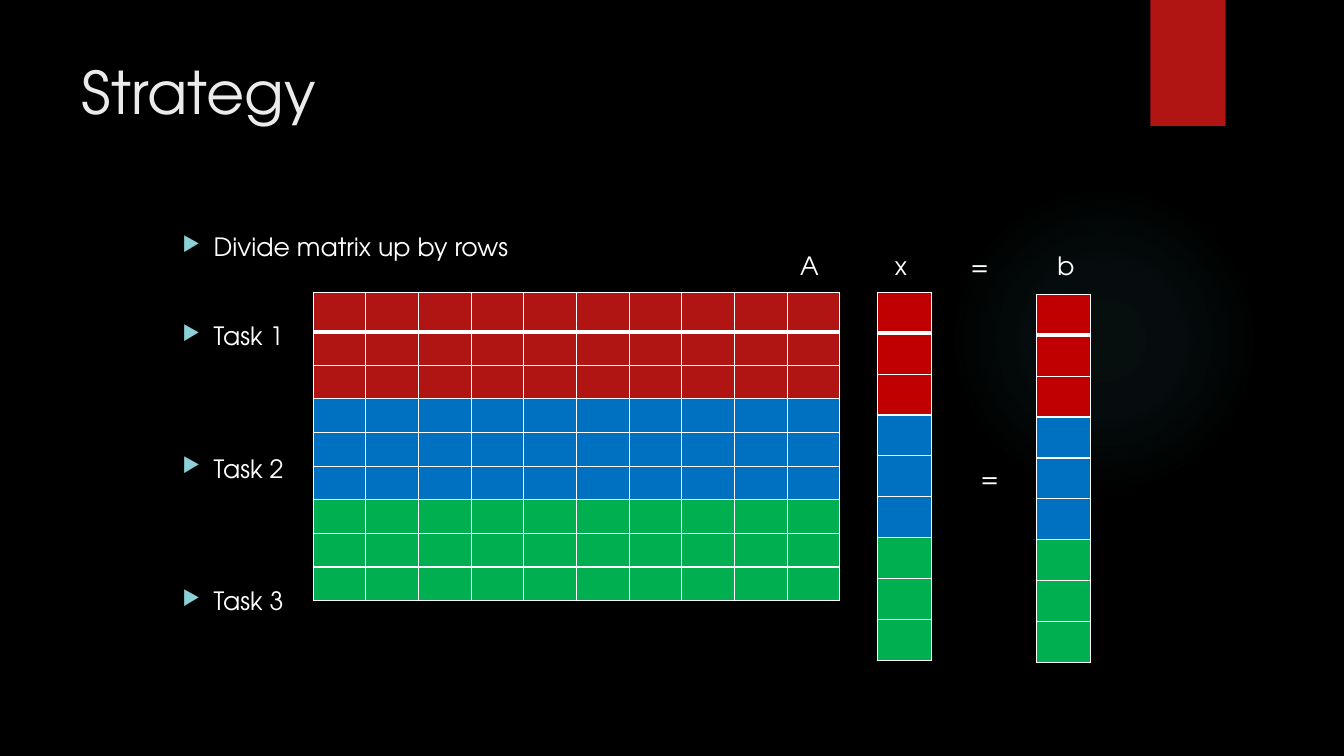
"""Build the Strategy slide: a matrix equation divided by rows among three tasks."""
from lxml.etree import SubElement
from pptx import Presentation
from pptx.dml.color import RGBColor as Rgb
from pptx.enum.shapes import MSO_SHAPE as Shape
from pptx.enum.text import MSO_ANCHOR as Anchor
from pptx.oxml import parse_xml
from pptx.oxml.ns import nsdecls, qn
from pptx.util import Inches, Pt

FONT = "TeX Gyre Adventor"
COLORS = {
    "black": "000000", "white": "FFFFFF", "title": "EBEBEB", "brick": "B01513",
    "red": "C00000", "blue": "0070C0", "green": "00B050",
    "aqua": "8AD0D6", "glow": "50B9C1",
}
deck = Presentation()
deck.slide_width, deck.slide_height = Inches(13.333), Inches(7.5)
ACROSS, DOWN = deck.slide_width / 100, deck.slide_height / 100
slide = deck.slides.add_slide(deck.slide_layouts[6])
slide.background.fill.solid()
slide.background.fill.fore_color.rgb = Rgb.from_string(COLORS["black"])


def area(left, top, width, height):
    """Turn percentages of the slide into a position and a size."""
    return [int(share * unit) for share, unit in
            zip((left, top, width, height), (ACROSS, DOWN) * 2)]


def write(place, lines, size=18, color="white"):
    """Add a text box with one paragraph per line and return its frame."""
    frame = slide.shapes.add_textbox(*area(*place)).text_frame
    for name, value in {"word_wrap": True, "vertical_anchor": Anchor.TOP}.items():
        setattr(frame, name, value)
    for number, line in enumerate(lines):
        paragraph = frame.paragraphs[0] if number == 0 else frame.add_paragraph()
        run = paragraph.add_run()
        run.text = line
        for name, value in {"name": FONT, "size": Pt(size)}.items():
            setattr(run.font, name, value)
        run.font.color.rgb = Rgb.from_string(COLORS[color])
    return frame


glow = slide.shapes.add_shape(Shape.OVAL, *area(70.58, 24.4, 23.1, 41.07))
ribbon = slide.shapes.add_shape(Shape.RECTANGLE, *area(85.6, 0, 5.6, 16.67))
for decoration in (glow, ribbon):
    decoration.shadow.inherit = False
    decoration.line.fill.background()
ribbon.fill.solid()
ribbon.fill.fore_color.rgb = Rgb.from_string(COLORS["brick"])
stops = "".join(
    f'<a:gs pos="{position}000"><a:srgbClr val="{COLORS["glow"]}">'
    f'<a:alpha val="{opacity}000"/></a:srgbClr></a:gs>'
    for position, opacity in ((0, 7), (36, 6), (69, 0)))
glow.element.spPr.find(qn("a:prstGeom")).addnext(parse_xml(
    f'<a:gradFill {nsdecls("a")}><a:gsLst>{stops}</a:gsLst><a:path path="circle">'
    '<a:fillToRect l="50000" t="50000" r="50000" b="50000"/></a:path></a:gradFill>'))

write((5.33, 6.67, 77.2, 20.4), ["Strategy"], 42, "title")
tasks = write((9.08, 30, 73.35, 61.2),
              ["Divide matrix up by rows", "Task 1", "Task 2", "Task 3"])
LINE_PITCH = 31.6
for paragraph, skipped in zip(tasks.paragraphs, (0, 1, 2, 2)):
    paragraph.space_before = Pt(10 + skipped * LINE_PITCH if skipped else 0)
    indent = paragraph._p.get_or_add_pPr()
    indent.set("marL", str(Inches(0.81)))
    indent.set("indent", str(Inches(-0.31)))
    SubElement(SubElement(indent, qn("a:buClr")), qn("a:srgbClr"), val=COLORS["aqua"])
    SubElement(indent, qn("a:buSzPct"), val="80000")
    SubElement(indent, qn("a:buChar"), char="▶")

ROWS_PER_TASK = 3
operands = [
    (23.3, 38.67, 10, 3.92, 5.2, 4.45, "brick"),
    (65.27, 38.67, 1, 4.05, 5.41, 5.41, "red"),
    (77.12, 38.95, 1, 4.05, 5.41, 5.41, "red"),
]
for left, top, columns, cell_width, first_height, row_height, first_color in operands:
    bands = (first_color, "blue", "green")
    rows = ROWS_PER_TASK * len(bands)
    height = first_height + (rows - 1) * row_height
    grid = slide.shapes.add_table(
        rows, columns, *area(left, top, columns * cell_width, height)).table
    grid.first_row = grid.horz_banding = False
    for column in grid.columns:
        column.width = int(cell_width * ACROSS)
    for r, row in enumerate(grid.rows):
        row.height = int((row_height if r else first_height) * DOWN)
        for cell in row.cells:
            cell.margin_top = cell.margin_bottom = 0
            edges = {"lnL": 1, "lnR": 1, "lnT": 3 if r == 1 else 1, "lnB": 1 if r else 3}
            for edge, points in edges.items():
                border = SubElement(cell._tc.get_or_add_tcPr(), qn(f"a:{edge}"),
                                    w=str(Pt(points)))
                SubElement(SubElement(border, qn("a:solidFill")), qn("a:srgbClr"),
                           val=COLORS["white"])
            cell.fill.solid()
            cell.fill.fore_color.rgb = Rgb.from_string(COLORS[bands[r // ROWS_PER_TASK]])

equation = write((58.8, 32.4, 23.7, 5.33), ["A\tx\t=\tb"])
tab_list = SubElement(equation.paragraphs[0]._p.get_or_add_pPr(), qn("a:tabLst"))
for share in (7.05, 12.68, 19.13):
    SubElement(tab_list, qn("a:tab"), pos=str(int(share * ACROSS)), algn="l")
write((72.23, 60.53, 4.35, 5.33), ["="])

deck.save("out.pptx")
